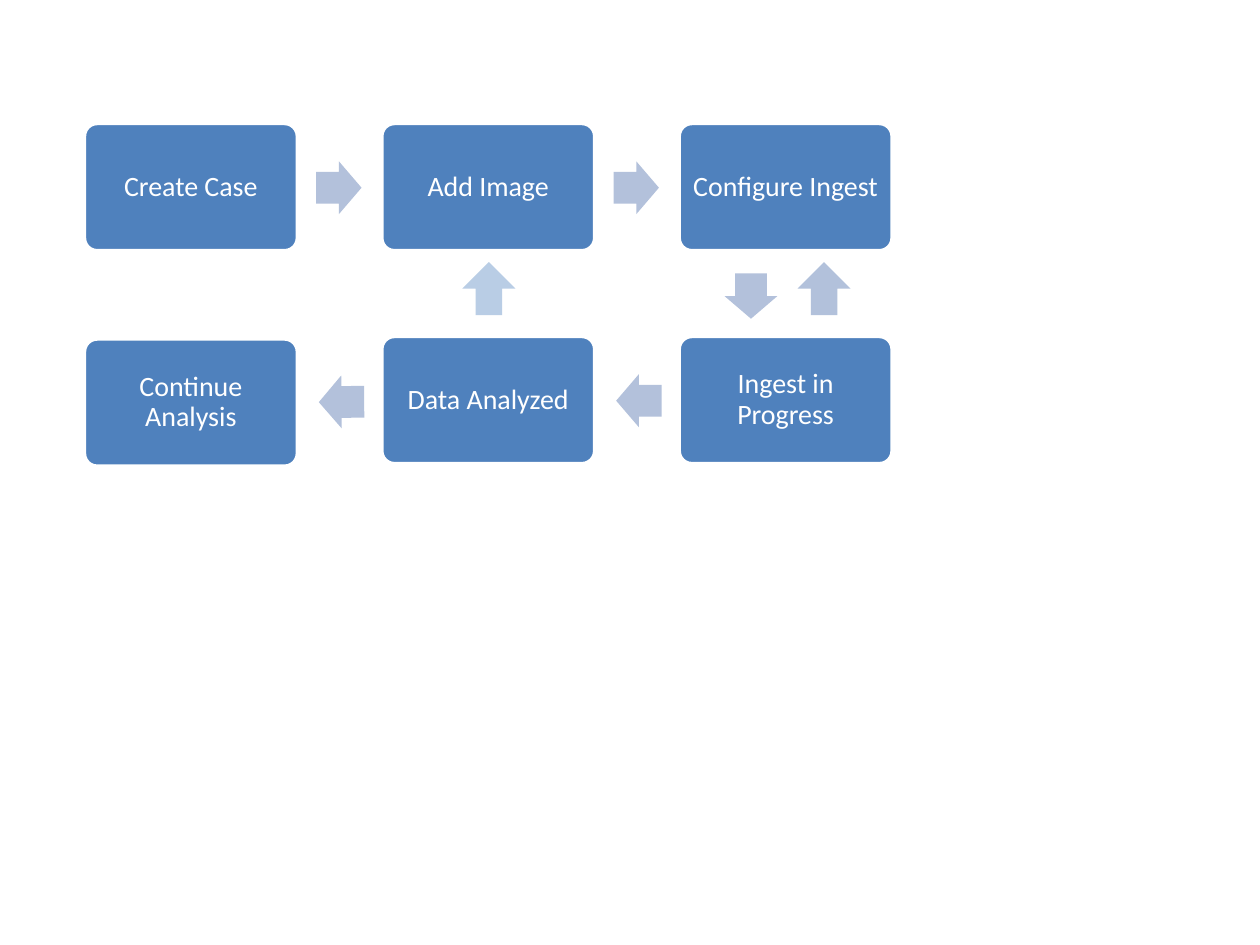
from dataclasses import dataclass

from pptx import Presentation
from pptx.dml.color import RGBColor
from pptx.enum.shapes import MSO_SHAPE
from pptx.enum.text import MSO_ANCHOR, PP_ALIGN
from pptx.shapes.autoshape import Shape
from pptx.slide import Slide
from pptx.util import Inches, Pt


@dataclass(frozen=True)
class Theme:
    font: str = "Calibri"
    text_size: float = 16
    outline_width: float = 2
    line_spacing: float = 0.9
    step: str = "4F81BD"
    white: str = "FFFFFF"
    arrow: str = "B3C1DB"
    analysis_return: str = "B9CDE5"
    ingest_return: str = "B2C1DB"


@dataclass(frozen=True)
class Step:
    label: str
    column: int
    top: float


@dataclass(frozen=True)
class FlowArrow:
    left: float
    top: float
    rotation: float = 0


@dataclass(frozen=True)
class ReturnArrow:
    column: int
    offset: float
    color: str


THEME = Theme()
GRID_LEFT, COLUMN_PITCH = 0.67, 2.36
STEP_WIDTH, STEP_HEIGHT = 1.69, 1.01
FLOW_WIDTH, FLOW_HEIGHT = 0.36, 0.42
RETURN_SIZE, RETURN_TOP = 0.42, 2.08
TEXT_INSET = 0.04
TOP_ROW, BOTTOM_ROW = 0.98, 2.67

STEPS = (
    Step("Create Case", 0, TOP_ROW),
    Step("Add Image", 1, TOP_ROW),
    Step("Configure Ingest", 2, TOP_ROW),
    Step("Ingest in Progress", 2, BOTTOM_ROW),
    Step("Data Analyzed", 1, BOTTOM_ROW),
    Step("Continue Analysis", 0, BOTTOM_ROW + 0.02),
)
FLOW_ARROWS = (
    FlowArrow(2.51, 1.28),
    FlowArrow(4.87, 1.28),
    FlowArrow(5.78, 2.14, 90),
    FlowArrow(4.89, 2.97, 180),
    FlowArrow(2.53, 2.98, 179.5),
)
RETURN_ARROWS = (
    ReturnArrow(1, 0.64, THEME.analysis_return),
    ReturnArrow(2, 0.94, THEME.ingest_return),
)


def column_left(column: int) -> float:
    """Return the left edge of a column in inches."""
    return GRID_LEFT + column * COLUMN_PITCH


def add_filled_shape(slide: Slide, kind: MSO_SHAPE, left: float, top: float,
                     width: float, height: float, color: str) -> Shape:
    """Add a flat shape with a solid fill and no outline."""
    shape = slide.shapes.add_shape(
        kind, Inches(left), Inches(top), Inches(width), Inches(height))
    shape.shadow.inherit = False
    shape.fill.solid()
    shape.fill.fore_color.rgb = RGBColor.from_string(color)
    shape.line.fill.background()
    return shape


def draw_step(slide: Slide, step: Step) -> None:
    """Draw a rounded box with its centred label."""
    shape = add_filled_shape(slide, MSO_SHAPE.ROUNDED_RECTANGLE, column_left(step.column),
                             step.top, STEP_WIDTH, STEP_HEIGHT, THEME.step)
    shape.adjustments[0] = 0.1
    shape.line.color.rgb = RGBColor.from_string(THEME.white)
    shape.line.width = Pt(THEME.outline_width)

    text_frame = shape.text_frame
    text_frame.text = step.label
    text_frame.word_wrap = True
    text_frame.vertical_anchor = MSO_ANCHOR.MIDDLE
    text_frame.margin_left = text_frame.margin_right = Inches(TEXT_INSET)
    text_frame.margin_top = text_frame.margin_bottom = Inches(TEXT_INSET)
    paragraph = text_frame.paragraphs[0]
    paragraph.alignment = PP_ALIGN.CENTER
    paragraph.line_spacing = THEME.line_spacing
    font = paragraph.runs[0].font
    font.name = THEME.font
    font.size = Pt(THEME.text_size)
    font.color.rgb = RGBColor.from_string(THEME.white)


def draw_flow_arrow(slide: Slide, arrow: FlowArrow) -> None:
    """Draw an arrow leading from one step to the next."""
    shape = add_filled_shape(slide, MSO_SHAPE.RIGHT_ARROW, arrow.left, arrow.top,
                             FLOW_WIDTH, FLOW_HEIGHT, THEME.arrow)
    shape.adjustments[0] = 0.6
    shape.adjustments[1] = 0.5
    shape.rotation = arrow.rotation


def draw_return_arrow(slide: Slide, arrow: ReturnArrow) -> None:
    """Draw an upward arrow leading back to the top row."""
    add_filled_shape(slide, MSO_SHAPE.UP_ARROW, column_left(arrow.column) + arrow.offset,
                     RETURN_TOP, RETURN_SIZE, RETURN_SIZE, arrow.color)


def main() -> None:
    """Build the ingest workflow slide."""
    presentation = Presentation()
    presentation.slide_width = Inches(10)
    presentation.slide_height = Inches(7.5)
    slide = presentation.slides.add_slide(presentation.slide_layouts[6])
    for step in STEPS:
        draw_step(slide, step)
    for flow_arrow in FLOW_ARROWS:
        draw_flow_arrow(slide, flow_arrow)
    for return_arrow in RETURN_ARROWS:
        draw_return_arrow(slide, return_arrow)
    presentation.save("out.pptx")


if __name__ == "__main__":
    main()
